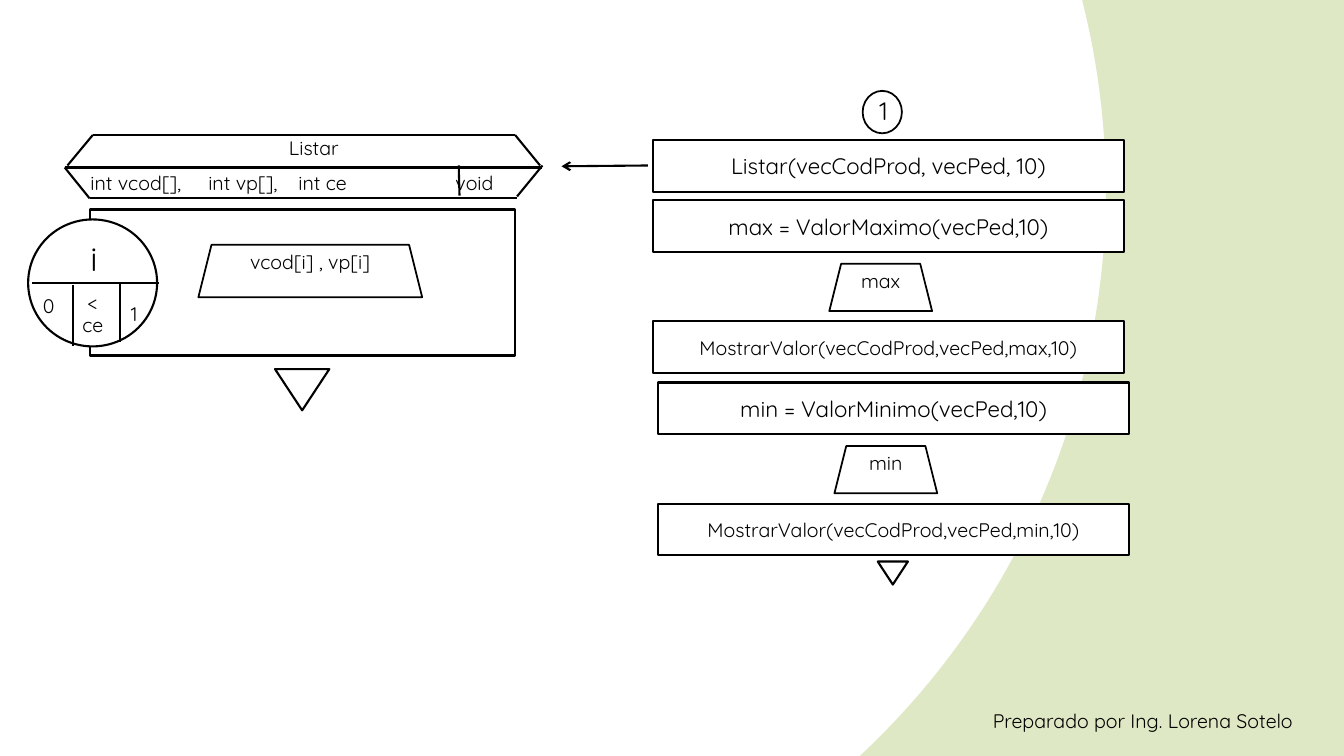
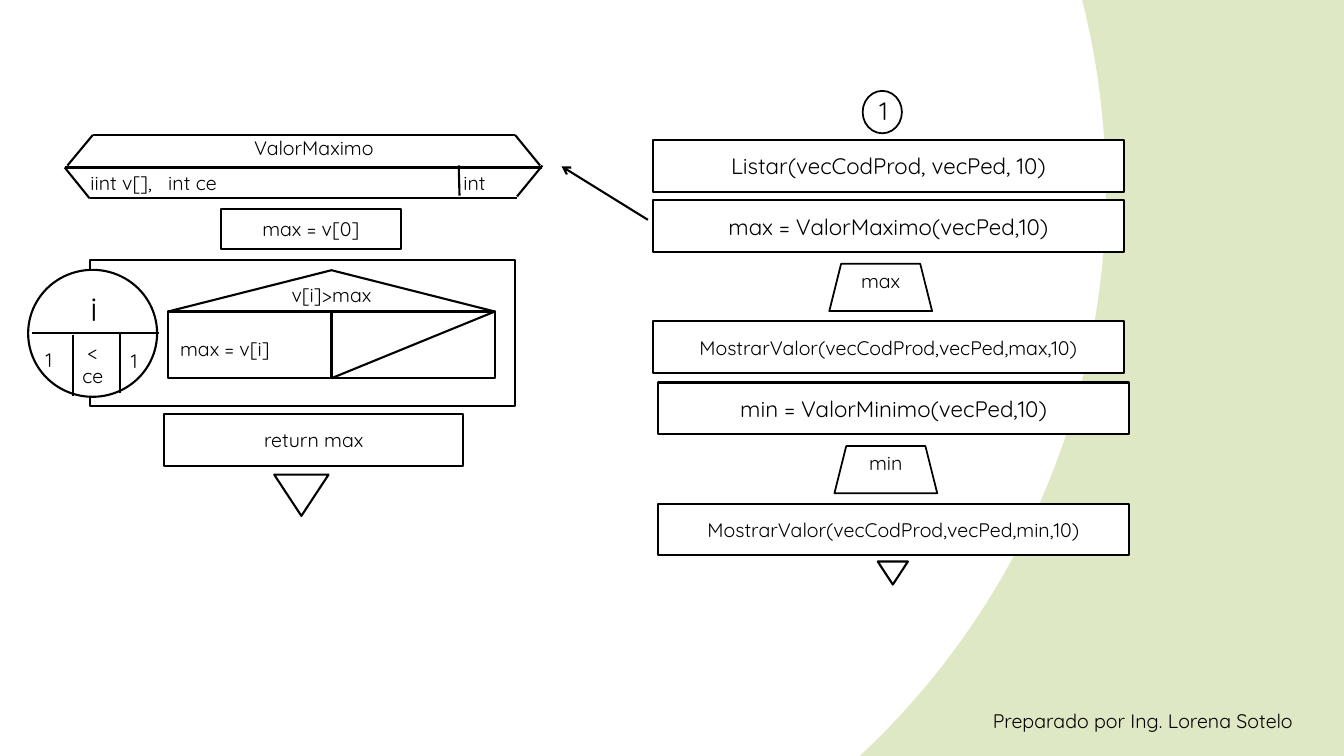
from dataclasses import dataclass
from math import sqrt

from lxml.etree import SubElement
from pptx import Presentation
from pptx.dml.color import RGBColor
from pptx.enum.shapes import MSO_CONNECTOR as Link, MSO_SHAPE as Preset
from pptx.enum.text import MSO_ANCHOR as Anchor, PP_ALIGN as Align
from pptx.oxml.ns import qn
from pptx.util import Cm, Pt


@dataclass(frozen=True)
class Theme:
    ink: RGBColor = RGBColor(0x00, 0x00, 0x00)
    paper: RGBColor = RGBColor(0xFF, 0xFF, 0xFF)
    green: RGBColor = RGBColor(0xDF, 0xE8, 0xC4)
    font: str = "Quicksand"
    body: int = 14
    call: int = 16
    marker: int = 18
    counter: int = 24
    stroke: float = 1.5
    thin: float = 1.25
    width: float = 33.87
    height: float = 19.05


def apply(target, values):
    for name, value in values.items():
        setattr(target, name, value)


class Diagram:
    def __init__(self, theme):
        self.theme = theme
        self.deck = Presentation()
        apply(self.deck, {"slide_width": Cm(theme.width), "slide_height": Cm(theme.height)})
        self.page = None

    def new_page(self):
        self.page = self.deck.slides.add_slide(self.deck.slide_layouts[6])
        fill = self.page.background.fill
        fill.solid()
        fill.fore_color.rgb = self.theme.paper
        self.green_side()

    def green_side(self):
        theme = self.theme
        center_x, center_y, radius, steps = 8.37, 4.79, 19.5, 60
        heights = [theme.height * step / steps for step in range(steps + 1)]
        arc = [(center_x + sqrt(radius ** 2 - (y - center_y) ** 2), y) for y in heights]
        outline = arc + [(theme.width, theme.height), (theme.width, 0)]
        points = [(Cm(x), Cm(y)) for x, y in outline]
        builder = self.page.shapes.build_freeform(*points[0])
        builder.add_line_segments(points[1:], close=True)
        side = builder.convert_to_shape()
        side.shadow.inherit = False
        side.fill.solid()
        side.fill.fore_color.rgb = theme.green
        side.line.fill.background()

    def label(self, shape, lines, size, align, anchor):
        frame = shape.text_frame
        apply(frame, {"word_wrap": True, "vertical_anchor": anchor})
        for index, line in enumerate(lines.split("\n")):
            para = frame.add_paragraph() if index else frame.paragraphs[0]
            para.alignment = align
            span = para.add_run()
            span.text = line
            apply(span.font, {"name": self.theme.font, "size": Pt(size)})
            span.font.color.rgb = self.theme.ink

    def text(self, words, left, top, width, height=0.86, size=None, align=Align.CENTER):
        box = self.page.shapes.add_textbox(Cm(left), Cm(top), Cm(width), Cm(height))
        self.label(box, words, size or self.theme.body, align, Anchor.TOP)
        return box

    def shape(self, preset, left, top, width, height, filled=True, stroke=None):
        shape = self.page.shapes.add_shape(preset, Cm(left), Cm(top), Cm(width), Cm(height))
        shape.shadow.inherit = False
        if filled:
            shape.fill.solid()
            shape.fill.fore_color.rgb = self.theme.paper
        else:
            shape.fill.background()
        shape.line.width = Pt(stroke or self.theme.stroke)
        shape.line.color.rgb = self.theme.ink
        return shape

    def line(self, start_x, start_y, end_x, end_y, arrow=False):
        link = self.page.shapes.add_connector(
            Link.STRAIGHT, Cm(start_x), Cm(start_y), Cm(end_x), Cm(end_y))
        link.line.width = Pt(self.theme.stroke)
        link.line.color.rgb = self.theme.ink
        properties = link.element.spPr
        if arrow:
            SubElement(properties.find(qn("a:ln")), qn("a:tailEnd"), type="arrow")
        SubElement(properties, qn("a:effectLst"))

    def process(self, words, left, top, width=11.86, height=1.3, size=None):
        shape = self.shape(Preset.FLOWCHART_PROCESS, left, top, width, height)
        self.label(shape, words, size or self.theme.body, Align.CENTER, Anchor.MIDDLE)

    def output(self, words, left, top, width, height):
        self.text(words, left, top, width, 1.45)
        self.shape(Preset.TRAPEZOID, left, top, width, height, False, self.theme.thin)

    def end_mark(self, left, top, width=1.37, height=1.04):
        self.shape(Preset.ISOSCELES_TRIANGLE, left, top, width, height).rotation = 180

    def main_flow(self):
        theme = self.theme
        self.process("Listar(vecCodProd, vecPed, 10)", 16.46, 3.53, size=theme.call)
        for index, (name, function) in enumerate((("max", "ValorMaximo"), ("min", "ValorMinimo"))):
            left, top = 16.46 + 0.13 * index, 5.05 + 4.59 * index
            self.process(f"{name} = {function}(vecPed,10)", left, top, size=theme.call)
            self.output(name, left + 4.44, top + 1.6, 2.59, 1.19)
            self.process(f"MostrarValor(vecCodProd,vecPed,{name},10)", left, top + 3.05)
        self.end_mark(22.12, 14.15, 0.76, 0.58)
        self.shape(Preset.OVAL, 21.74, 2.29, 0.99, 1.07, False, theme.thin)
        self.text("1", 21.84, 2.29, 0.86, 1.04, theme.marker)
        self.text("Preparado por Ing. Lorena Sotelo", 24.77, 17.75, 8.74, align=Align.LEFT)

    def function_header(self, name, signature, tabs, call_y):
        for ends in (
            (1.63, 4.22, 13.67, 4.22),
            (2.34, 3.4, 12.98, 3.4),
            (2.26, 4.98, 13.03, 4.98),
            (1.7, 4.17, 2.34, 3.4),
            (1.63, 4.22, 2.26, 5),
            (13.61, 4.17, 12.98, 3.4),
            (13.67, 4.17, 13.03, 4.95),
            (11.56, 4.17, 11.58, 4.93),
        ):
            self.line(*ends)
        self.text(name, 5.56, 3.3, 4.7)
        box = self.text("\t".join(signature), 2.03, 4.19, 11.18, 0.89, align=Align.LEFT)
        properties = box.text_frame.paragraphs[0]._p.get_or_add_pPr()
        stops = SubElement(properties, qn("a:tabLst"))
        for position in tabs:
            SubElement(stops, qn("a:tab"), pos=str(int(Cm(position))), algn="l")
        self.line(16.33, call_y, 14.15, 4.19, arrow=True)

    def loop(self, top, start, start_drop, step_drop):
        self.shape(Preset.RECTANGLE, 2.26, top, 10.72, 3.68, False)
        self.shape(Preset.OVAL, 0.71, top + 0.25, 3.25, 3.2)
        self.line(0.81, top + 1.85, 4.01, top + 1.85)
        self.line(3.02, top + 1.85, 3.02, top + 3.35)
        self.line(1.83, top + 1.9, 1.83, top + 3.43)
        for words, left, drop, height, size in (
            ("i", 1.67, 0.58, 1.27, self.theme.counter),
            (start, 0.53, start_drop, 0.86, self.theme.body),
            ("<\nce", 1.64, 1.9, 1.45, self.theme.body),
            ("1", 2.68, step_drop, 0.86, self.theme.body),
        ):
            self.text(words, left, top + drop, 1.4, height, size)

    def decision(self, condition, action, left, top):
        width, roof, body = 8.23, 1.04, 1.68
        middle, base, floor = left + width / 2, top + roof, top + roof + body
        self.shape(Preset.ISOSCELES_TRIANGLE, left, top, width, roof, False)
        self.text(condition, middle - 1.5, top + 0.2, 3)
        self.shape(Preset.RECTANGLE, left, base, width, body, False)
        self.line(middle, base, middle, floor)
        self.line(middle, floor, left + width, base)
        self.text(action, left + 0.05, base + 0.51, 3.2, align=Align.LEFT)


def list_page(diagram):
    diagram.new_page()
    diagram.main_flow()
    diagram.function_header(
        "Listar", ("int vcod[],", "int vp[],", "int ce", "void"), (2.97, 5.24, 9.2), 4.17)
    diagram.loop(5.28, "0", 2.01, 2.21)
    diagram.output("vcod[i] , vp[i]", 5, 6.17, 5.64, 1.32)
    diagram.end_mark(6.93, 9.3)


def maximum_page(diagram):
    diagram.new_page()
    diagram.main_flow()
    diagram.function_header("ValorMaximo", ("iint v[],", "int ce", "int"), (1.96, 9.4), 5.54)
    diagram.loop(6.55, "1", 2.08, 2.13)
    diagram.process("max = v[0]", 5.56, 5.26, 4.55, 1.02)
    diagram.decision("v[i]>max", "max = v[i]", 4.24, 6.81)
    diagram.process("return max", 4.14, 10.44, 7.54)
    diagram.end_mark(6.91, 11.96)


def main():
    diagram = Diagram(Theme())
    list_page(diagram)
    maximum_page(diagram)
    diagram.deck.save("out.pptx")


if __name__ == "__main__":
    main()
